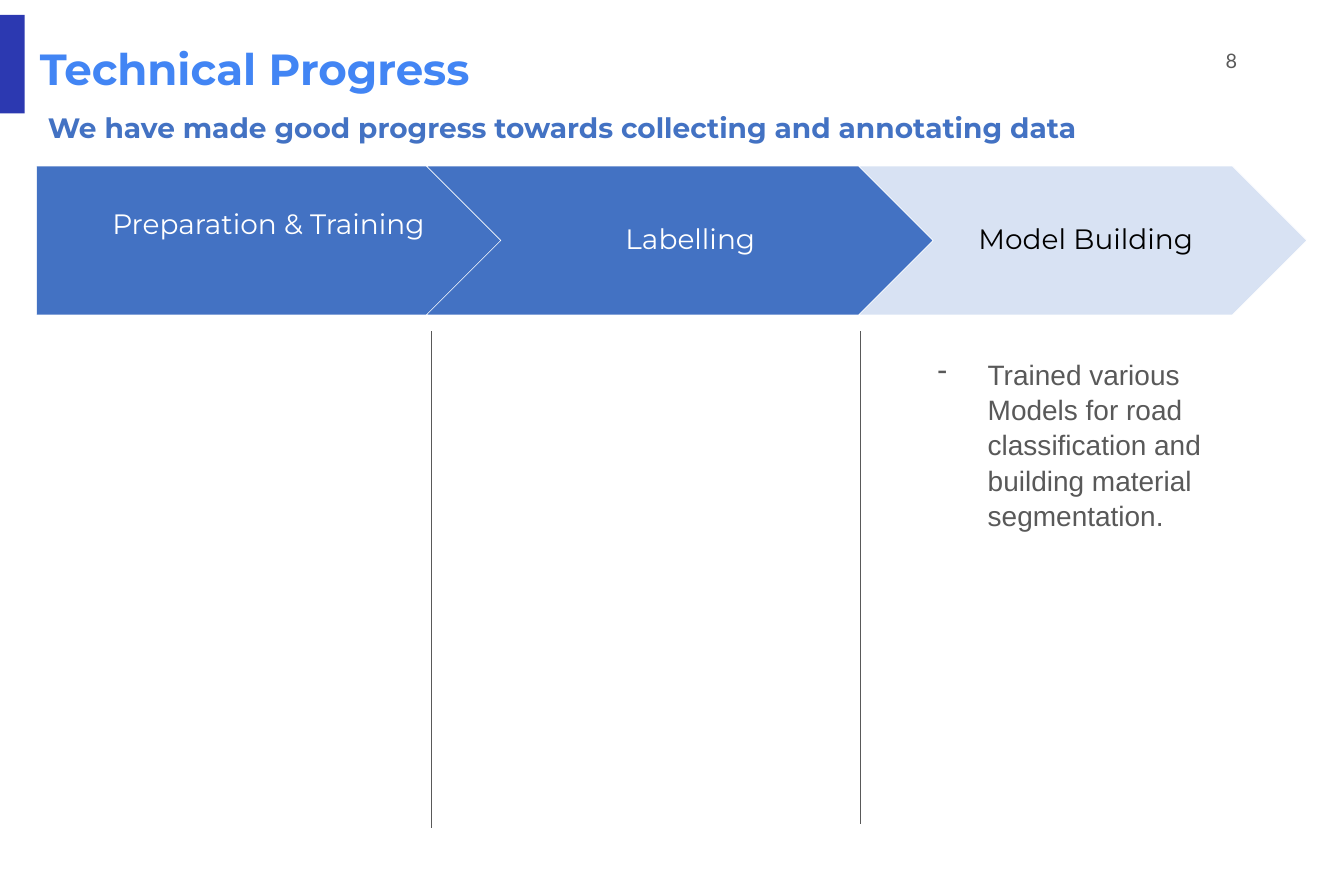
from dataclasses import dataclass

from lxml.etree import SubElement
from pptx import Presentation
from pptx.dml.color import RGBColor
from pptx.enum.shapes import MSO_CONNECTOR as Connector, MSO_SHAPE as Shape
from pptx.enum.text import MSO_ANCHOR as Anchor, MSO_AUTO_SIZE as AutoSize, PP_ALIGN as Align
from pptx.oxml.ns import qn
from pptx.util import Cm, Pt


@dataclass(frozen=True)
class Theme:
    heading_font: str = "Montserrat"
    body_font: str = "Arial"
    number_font: str = "Lato"
    bright_blue: str = "4285F4"
    blue: str = "4372C3"
    pale_blue: str = "D8E2F3"
    bar_blue: str = "2C39B1"
    grey: str = "595959"
    white: str = "FFFFFF"
    black: str = "000000"
    heading_size: int = 70
    body_size: int = 45
    number_size: int = 32


def write_text(shape, text, *, font, size, color, bold=False, align=Align.LEFT,
               anchor=Anchor.TOP, insets=(0.3, 0.3, 0.3, 0.3), spacing=1.0,
               bullet=None, indent=(0, 0)):
    """Fill a shape with one paragraph; insets run left, top, right, bottom in cm."""
    frame = shape.text_frame
    frame.word_wrap = True
    frame.auto_size = AutoSize.NONE
    frame.vertical_anchor = anchor
    (frame.margin_left, frame.margin_top,
     frame.margin_right, frame.margin_bottom) = map(Cm, insets)
    paragraph = frame.paragraphs[0]
    paragraph.alignment = align
    paragraph.line_spacing = spacing
    paragraph.space_before = Pt(0)
    if bullet:
        properties = paragraph._p.get_or_add_pPr()
        properties.set("marL", str(Cm(indent[0])))
        properties.set("indent", str(Cm(indent[1])))
        SubElement(properties, qn("a:buChar")).set("char", bullet)
    run = paragraph.add_run()
    run.text = text
    run.font.name = font
    run.font.size = Pt(size)
    run.font.bold = bold
    run.font.color.rgb = RGBColor.from_string(color)


class SlideBuilder:
    def __init__(self, slide, theme):
        self.slide = slide
        self.theme = theme

    def title(self, box, text, **style):
        shape = self.slide.shapes.title
        shape.left, shape.top, shape.width, shape.height = map(Cm, box)
        write_text(shape, text, **style)

    def text(self, box, text, **style):
        write_text(self.slide.shapes.add_textbox(*map(Cm, box)), text, **style)

    def shape(self, kind, box, fill, outline=None):
        shape = self.slide.shapes.add_shape(kind, *map(Cm, box))
        shape.shadow.inherit = False
        shape.fill.solid()
        shape.fill.fore_color.rgb = RGBColor.from_string(fill)
        if outline:
            shape.line.color.rgb = RGBColor.from_string(outline)
            shape.line.width = Pt(1)
        else:
            shape.line.fill.background()
        return shape

    def step(self, kind, box, text, fill, color, insets):
        shape = self.shape(kind, box, fill, self.theme.white)
        shape.adjustments[0] = 0.5
        write_text(shape, text, font=self.theme.heading_font, size=self.theme.body_size,
                   color=color, align=Align.CENTER, anchor=Anchor.MIDDLE,
                   insets=insets, spacing=0.9)

    def divider(self, x, top, bottom):
        line = self.slide.shapes.add_connector(
            Connector.STRAIGHT, Cm(x), Cm(top), Cm(x), Cm(bottom))
        line.line.color.rgb = RGBColor.from_string(self.theme.grey)
        line.line.width = Pt(0.75)
        SubElement(line._element.spPr, qn("a:effectLst"))


def main():
    theme = Theme()
    presentation = Presentation()
    presentation.slide_width, presentation.slide_height = Cm(76.2), Cm(50.8)
    slide = presentation.slides.add_slide(presentation.slide_layouts[5])
    builder = SlideBuilder(slide, theme)

    # Header
    builder.text((69.19, 2.46, 2.21, 2.69), "8", font=theme.number_font,
                 size=theme.number_size, color=theme.grey)
    builder.shape(Shape.RECTANGLE, (0, 0.84, 1.4, 5.59), theme.bar_blue)
    builder.text((2.11, 1.68, 72.01, 4.34), "Technical Progress",
                 font=theme.heading_font, size=theme.heading_size,
                 color=theme.bright_blue, bold=True, anchor=Anchor.MIDDLE,
                 insets=(0.15, 0.15, 0.15, 0.15))
    builder.title((2.11, 4.6, 61.04, 3.89),
                  "We have made good progress towards collecting and annotating data",
                  font=theme.heading_font, size=theme.body_size, color=theme.blue,
                  bold=True, anchor=Anchor.BOTTOM, insets=(0.61, 0.3, 0.61, 0.3),
                  spacing=0.9)

    # Process steps
    chevron_insets = (0.48, 0.33, 0.15, 0.33)
    steps = [
        (Shape.PENTAGON, 2.08, 27.18, "Preparation & Training",
         theme.blue, theme.white, (1.35, 0.33, 0.15, 2.08)),
        (Shape.CHEVRON, 24.18, 29.59, "Labelling",
         theme.blue, theme.white, chevron_insets),
        (Shape.CHEVRON, 48.69, 25.4, "Model Building",
         theme.pale_blue, theme.black, chevron_insets),
    ]
    for kind, left, width, label, fill, color, insets in steps:
        builder.step(kind, (left, 9.42, width, 8.43), label, fill, color, insets)

    # Column dividers
    for x, bottom in ((24.46, 46.96), (48.79, 46.71)):
        builder.divider(x, 18.77, bottom)

    # Model building notes
    builder.text((51.13, 19.35, 19.35, 23.98),
                 "Trained various Models for road classification and "
                 "building material segmentation.",
                 font=theme.body_font, size=theme.body_size, color=theme.grey,
                 insets=(0.81, 0.81, 0.81, 0.81), spacing=1.05,
                 bullet="-", indent=(4.06, -2.84))

    presentation.save("out.pptx")


if __name__ == "__main__":
    main()
